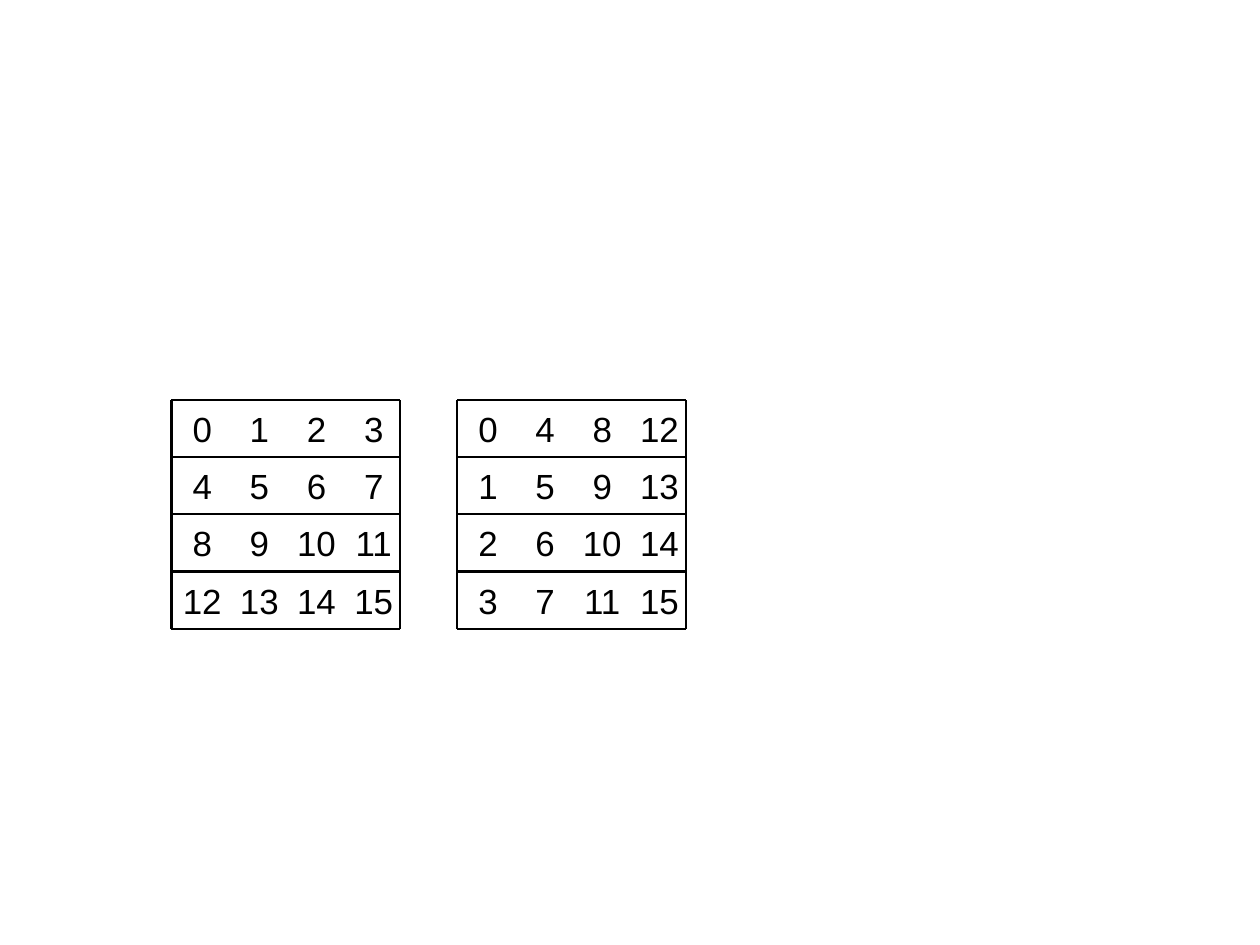
from lxml import etree
from pptx import Presentation, util as u
from pptx.dml.color import RGBColor
from pptx.enum import shapes, text
from pptx.oxml import ns

SIZE = 4
CELL = 1.27
TOP = 8.89
INK = "000000"


def colour(value):
    return RGBColor.from_string(value)


def add_text(s, content, x, y, w, h, size=22, font="Arial", ink=INK):
    tf = s.shapes.add_textbox(u.Cm(x), u.Cm(y), u.Cm(w), u.Cm(h)).text_frame
    tf.word_wrap = False
    tf.vertical_anchor = text.MSO_ANCHOR.MIDDLE
    p = tf.paragraphs[0]
    p.alignment = text.PP_ALIGN.CENTER
    r = p.add_run()
    r.text = content
    r.font.size = u.Pt(size)
    r.font.name = font
    r.font.color.rgb = colour(ink)


def add_line(s, x1, y1, x2, y2, width=1.45, ink=INK):
    cx = s.shapes.add_connector(
        shapes.MSO_CONNECTOR.STRAIGHT, u.Cm(x1), u.Cm(y1), u.Cm(x2), u.Cm(y2)
    )
    cx.line.width = u.Pt(width)
    cx.line.color.rgb = colour(ink)
    etree.SubElement(cx._element.spPr, ns.qn("a:effectLst"))


def add_matrix(s, left, rows):
    right = left + SIZE * CELL
    bottom = TOP + SIZE * CELL
    for i, row in enumerate(rows):
        for j, value in enumerate(row):
            add_text(s, str(value), left + j * CELL, TOP + i * CELL, 1.37, CELL)
    for i in range(SIZE + 1):
        y = TOP + i * CELL
        add_line(s, left, y, right, y)
    for x in (left, right):
        add_line(s, x, bottom, x, TOP)


def main():
    prs = Presentation()
    prs.slide_width = u.Cm(28)
    prs.slide_height = u.Cm(21)
    s = prs.slides.add_slide(prs.slide_layouts[6])
    row_major = [[SIZE * i + j for j in range(SIZE)] for i in range(SIZE)]
    column_major = list(zip(*row_major))
    add_matrix(s, 3.81, row_major)
    add_matrix(s, 10.16, column_major)
    prs.save("out.pptx")


if __name__ == "__main__":
    main()
